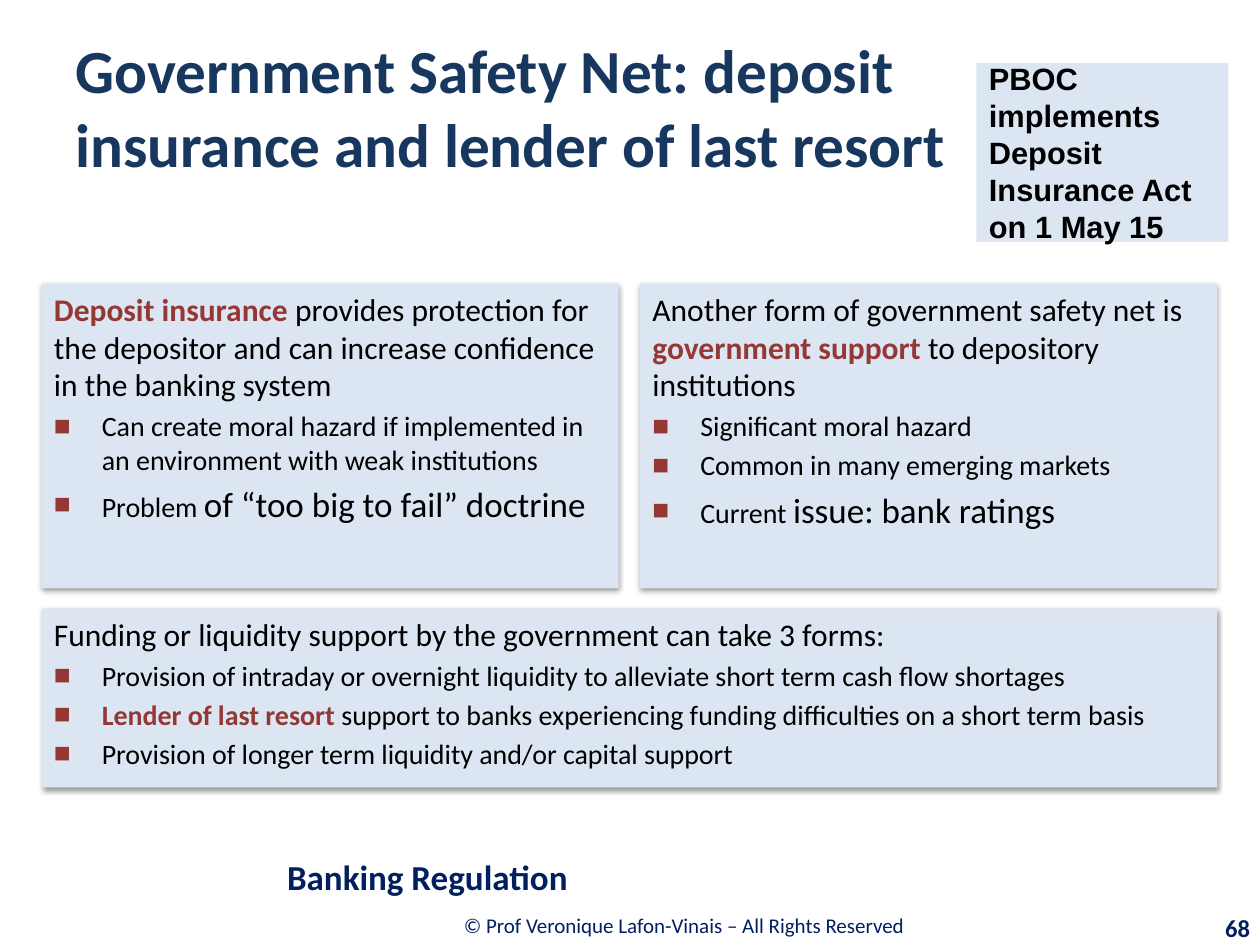
from lxml.etree import SubElement
from pptx import Presentation
from pptx.dml.color import RGBColor
from pptx.enum.shapes import MSO_SHAPE
from pptx.enum.text import MSO_ANCHOR, PP_ALIGN
from pptx.oxml import parse_xml
from pptx.oxml.ns import qn
from pptx.util import Inches, Pt

COLORS = {
    "title": "17375E",
    "navy": "002060",
    "panel": "DCE6F2",
    "accent": "953735",
    "black": "000000",
}
SHADOW = (
    '<a:effectLst xmlns:a="http://schemas.openxmlformats.org/drawingml/2006/main">'
    '<a:outerShdw blurRad="40000" dist="20000" dir="5400000" rotWithShape="0">'
    '<a:srgbClr val="000000"><a:alpha val="38000"/></a:srgbClr>'
    "</a:outerShdw></a:effectLst>"
)


def add_span(para, text, size, color="black", bold=False, name="Calibri"):
    span = para.add_run()
    span.text = text
    values = {"size": Pt(size), "bold": bold, "name": name}
    for attribute, value in values.items():
        setattr(span.font, attribute, value)
    span.font.color.rgb = RGBColor.from_string(COLORS[color])


def add_panel(page, left, top, width, height):
    panel = page.shapes.add_shape(
        MSO_SHAPE.RECTANGLE, Inches(left), Inches(top), Inches(width), Inches(height)
    )
    panel.shadow.inherit = False
    panel.fill.solid()
    panel.fill.fore_color.rgb = RGBColor.from_string(COLORS["panel"])
    panel.line.fill.background()
    panel.text_frame.word_wrap = True
    return panel


deck = Presentation()
deck.slide_width, deck.slide_height = Inches(10), Inches(7.5)
page = deck.slides.add_slide(deck.slide_layouts[6])

labels = [
    ("© Prof Veronique Lafon-Vinais – All Rights Reserved",
     (2.19, 7.15, 6.48, 0.39), 12, "navy", False, PP_ALIGN.CENTER),
    ("Government Safety Net: deposit insurance and lender of last resort",
     (0.5, 0.13, 8.25, 1.42), 35, "title", True, PP_ALIGN.LEFT),
    ("68", (9.01, 7.2, 1.01, 0.32), 14, "navy", True, PP_ALIGN.RIGHT),
    ("Banking Regulation", (2.18, 6.72, 7.82, 0.47), 20, "navy", True, PP_ALIGN.LEFT),
]
for text, place, size, color, bold, alignment in labels:
    box = page.shapes.add_textbox(*[Inches(length) for length in place])
    box.text_frame.word_wrap = True
    box.text_frame.vertical_anchor = MSO_ANCHOR.MIDDLE
    para = box.text_frame.paragraphs[0]
    para.alignment = alignment
    add_span(para, text, size, color, bold)

panels = [
    ((0.33, 2.25, 4.58, 2.42), [
        [("Deposit insurance ", 18, "accent", True),
         ("provides protection for the depositor and can increase confidence "
          "in the banking system", 18)],
        [("Can create moral hazard if implemented in an environment "
          "with weak institutions", 16)],
        [("Problem ", 16), ("of “too big to fail” doctrine", 20)],
    ]),
    ((5.08, 2.25, 4.58, 2.42), [
        [("Another form of government safety net is ", 18),
         ("government support ", 18, "accent", True),
         ("to depository institutions", 18)],
        [("Significant moral hazard", 16)],
        [("Common in many emerging markets", 16)],
        [("Current ", 16), ("issue: bank ratings", 20)],
    ]),
    ((0.33, 4.83, 9.33, 1.42), [
        [("Funding or liquidity support by the government can take 3 forms:", 18)],
        [("Provision of intraday or overnight liquidity to alleviate "
          "short term cash flow shortages", 16)],
        [("Lender of last resort ", 16, "accent", True),
         ("support to banks experiencing funding difficulties "
          "on a short term basis", 16)],
        [("Provision of longer term liquidity and/or capital support", 16)],
    ]),
]
for place, paragraphs in panels:
    panel = add_panel(page, *place)
    properties = panel.element.spPr
    properties.remove(properties.find(qn("a:effectLst")))
    properties.append(parse_xml(SHADOW))
    frame = panel.text_frame
    frame.vertical_anchor = MSO_ANCHOR.TOP
    for index, spans in enumerate(paragraphs):
        para = frame.add_paragraph() if index else frame.paragraphs[0]
        para.alignment = PP_ALIGN.LEFT
        if index:
            para.space_before = Pt(0.2 * spans[-1][1])
            layout = para._p.get_or_add_pPr()
            layout.set("marL", str(Inches(0.38)))
            layout.set("indent", str(-Inches(0.38)))
            bullet_color = SubElement(layout, qn("a:buClr"))
            SubElement(bullet_color, qn("a:srgbClr"), val=COLORS["accent"])
            SubElement(layout, qn("a:buFont"), typeface="Arial")
            SubElement(layout, qn("a:buChar"), char="■")
        for span in spans:
            add_span(para, *span)

notice = add_panel(page, 7.75, 0.5, 2, 1.42)
notice.text_frame.vertical_anchor = MSO_ANCHOR.MIDDLE
para = notice.text_frame.paragraphs[0]
para.alignment = PP_ALIGN.LEFT
add_span(para, "PBOC implements Deposit Insurance Act on 1 May 15", 17.6,
         bold=True, name="Arial")

deck.save("out.pptx")
